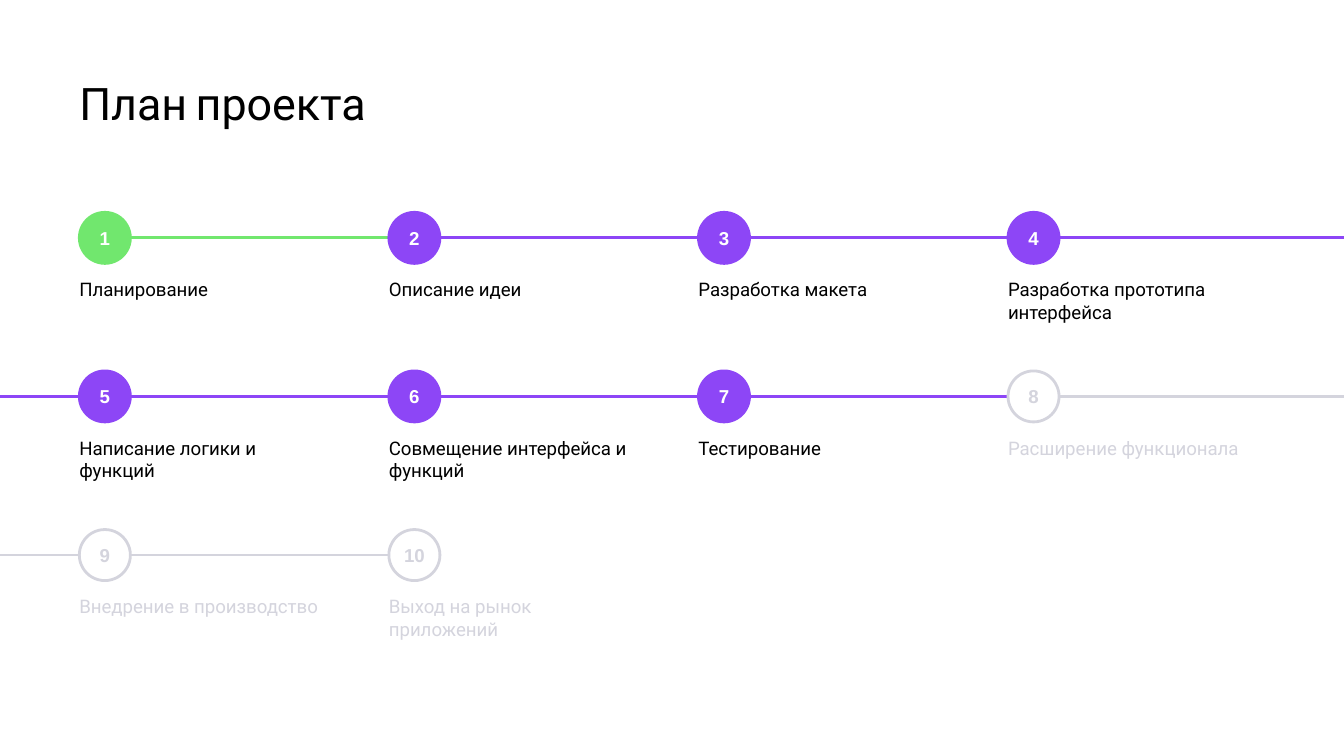
"""Build the project plan slide: ten numbered steps on a three-row track."""
import dataclasses

import lxml.etree
import pptx
import pptx.dml.color
import pptx.enum.shapes
import pptx.enum.text
import pptx.oxml.ns
import pptx.slide
import pptx.text.text
import pptx.util
from pptx.util import Inches

COLORS = {"done": "71E76E", "next": "8D46F6", "later": "D4D4DD",
          "white": "FFFFFF", "black": "000000"}
WIDTH = 10
HEIGHT = WIDTH * 9 / 16
COLUMNS = 4
LEFT, RIGHT, TOP = 0.59, 7.5, 1.77
STEP_X = (RIGHT - LEFT) / (COLUMNS - 1)
STEP_Y = 1.18
SIZE = 0.38


@dataclasses.dataclass(frozen=True)
class Step:
    """A project step and its state."""
    label: str
    state: str


STEPS = [
    Step("Планирование", "done"),
    Step("Описание идеи", "next"),
    Step("Разработка макета", "next"),
    Step("Разработка прототипа интерфейса", "next"),
    Step("Написание логики и функций", "next"),
    Step("Совмещение интерфейса и функций", "next"),
    Step("Тестирование", "next"),
    Step("Расширение функционала", "later"),
    Step("Внедрение в производство", "later"),
    Step("Выход на рынок приложений", "later"),
]


def get_color(name: str) -> pptx.dml.color.RGBColor:
    """Return the named colour."""
    return pptx.dml.color.RGBColor.from_string(COLORS[name])


def set_frame(frame: pptx.text.text.TextFrame, left: float, other: float) -> None:
    """Set wrapping and the insets of a text frame."""
    frame.word_wrap = True
    frame.auto_size = pptx.enum.text.MSO_AUTO_SIZE.NONE
    frame.margin_left = Inches(left)
    frame.margin_top = frame.margin_right = frame.margin_bottom = Inches(other)


def add_run(frame: pptx.text.text.TextFrame, text: str, size: int, color: str,
            font: str = "Roboto", bold: bool = False) -> None:
    """Append a run to the first paragraph."""
    run = frame.paragraphs[0].add_run()
    run.text = text
    run.font.name = font
    run.font.size = pptx.util.Pt(size)
    run.font.bold = bold
    run.font.color.rgb = get_color(color)


def add_line(slide: pptx.slide.Slide, start: float, end: float, y: float, color: str) -> None:
    """Draw a level piece of the track."""
    line = slide.shapes.add_connector(
        pptx.enum.shapes.MSO_CONNECTOR.STRAIGHT,
        Inches(start), Inches(y), Inches(end), Inches(y))
    line.line.color.rgb = get_color(color)
    line.line.width = pptx.util.Pt(1.5)
    props = line._element.spPr
    lxml.etree.SubElement(props, pptx.oxml.ns.qn("a:effectLst"))


def add_badge(slide: pptx.slide.Slide, number: int, x: float, y: float, state: str) -> None:
    """Draw a numbered circle centred on the track."""
    badge = slide.shapes.add_shape(
        pptx.enum.shapes.MSO_SHAPE.OVAL,
        Inches(x), Inches(y - SIZE / 2), Inches(SIZE), Inches(SIZE))
    later = state == "later"
    badge.shadow.inherit = False
    badge.fill.solid()
    badge.fill.fore_color.rgb = get_color("white" if later else state)
    badge.line.color.rgb = get_color(state)
    badge.line.width = pptx.util.Pt(1.5)
    frame = badge.text_frame
    set_frame(frame, 0, 0)
    frame.vertical_anchor = pptx.enum.text.MSO_ANCHOR.MIDDLE
    frame.paragraphs[0].alignment = pptx.enum.text.PP_ALIGN.CENTER
    add_run(frame, str(number), 10, state if later else "white", "Arial", True)


def add_label(slide: pptx.slide.Slide, step: Step, x: float, y: float) -> None:
    """Write the step name below its circle."""
    box = slide.shapes.add_textbox(Inches(x), Inches(y + 0.2), Inches(1.91), Inches(0.37))
    set_frame(box.text_frame, 0, 0.1)
    add_run(box.text_frame, step.label, 10, "later" if step.state == "later" else "black")


def add_step(slide: pptx.slide.Slide, index: int, step: Step) -> None:
    """Draw a step with the track around it."""
    row, column = divmod(index, COLUMNS)
    x, y = LEFT + column * STEP_X, TOP + row * STEP_Y
    if row and column == 0:
        add_line(slide, 0, x, y, step.state)
    if index < len(STEPS) - 1:
        end = WIDTH if column == COLUMNS - 1 else x + STEP_X
        add_line(slide, x + SIZE, end, y, step.state)
    add_badge(slide, index + 1, x, y, step.state)
    add_label(slide, step, x, y)


def add_title(slide: pptx.slide.Slide) -> None:
    """Fill and place the title."""
    title = slide.shapes.title
    title.left, title.top = Inches(LEFT), Inches(0.56)
    title.width, title.height = Inches(8.82), Inches(0.35)
    frame = title.text_frame
    set_frame(frame, 0, 0)
    frame.vertical_anchor = pptx.enum.text.MSO_ANCHOR.TOP
    frame.paragraphs[0].alignment = pptx.enum.text.PP_ALIGN.LEFT
    for text, size in [("План", 24), (" ", 18), ("проекта", 24)]:
        add_run(frame, text, size, "black")


def main() -> None:
    """Build and save the deck."""
    deck = pptx.Presentation()
    deck.slide_width, deck.slide_height = Inches(WIDTH), Inches(HEIGHT)
    slide = deck.slides.add_slide(deck.slide_layouts[5])
    add_title(slide)
    for index, step in enumerate(STEPS):
        add_step(slide, index, step)
    deck.save("out.pptx")


if __name__ == "__main__":
    main()
